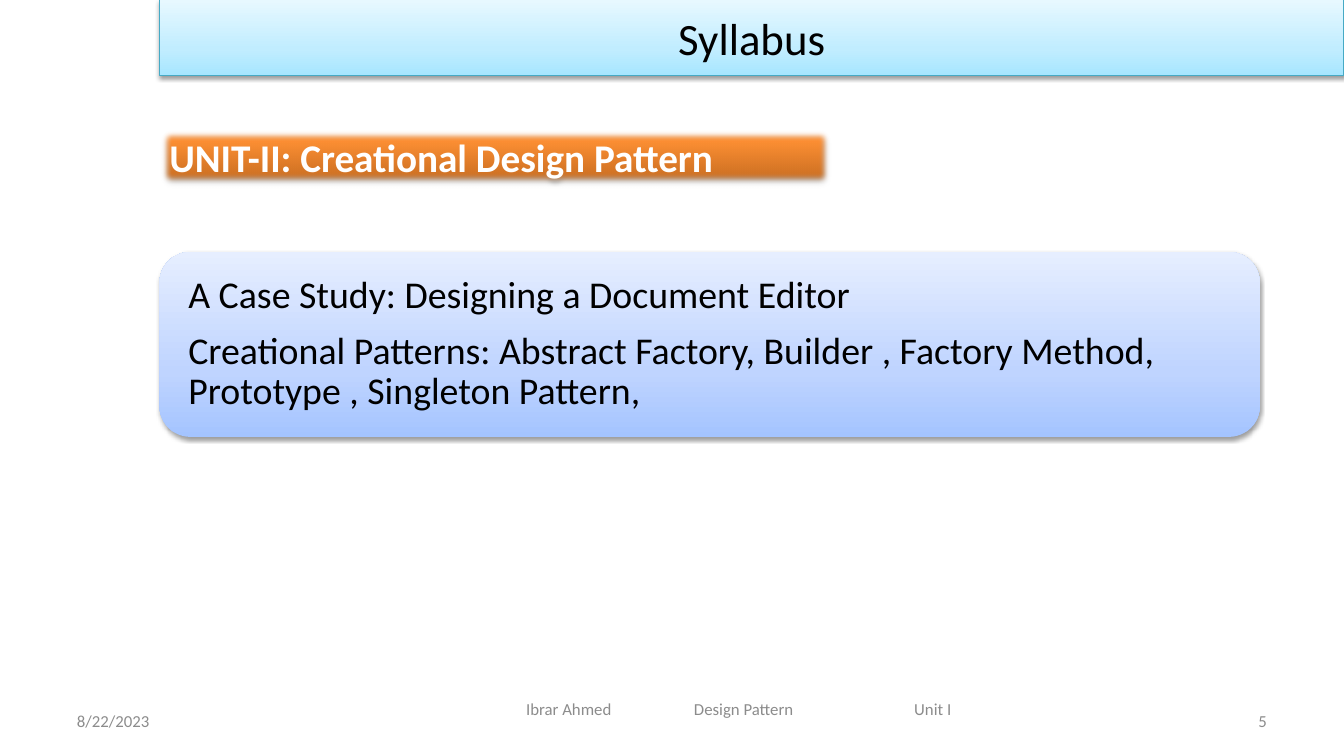
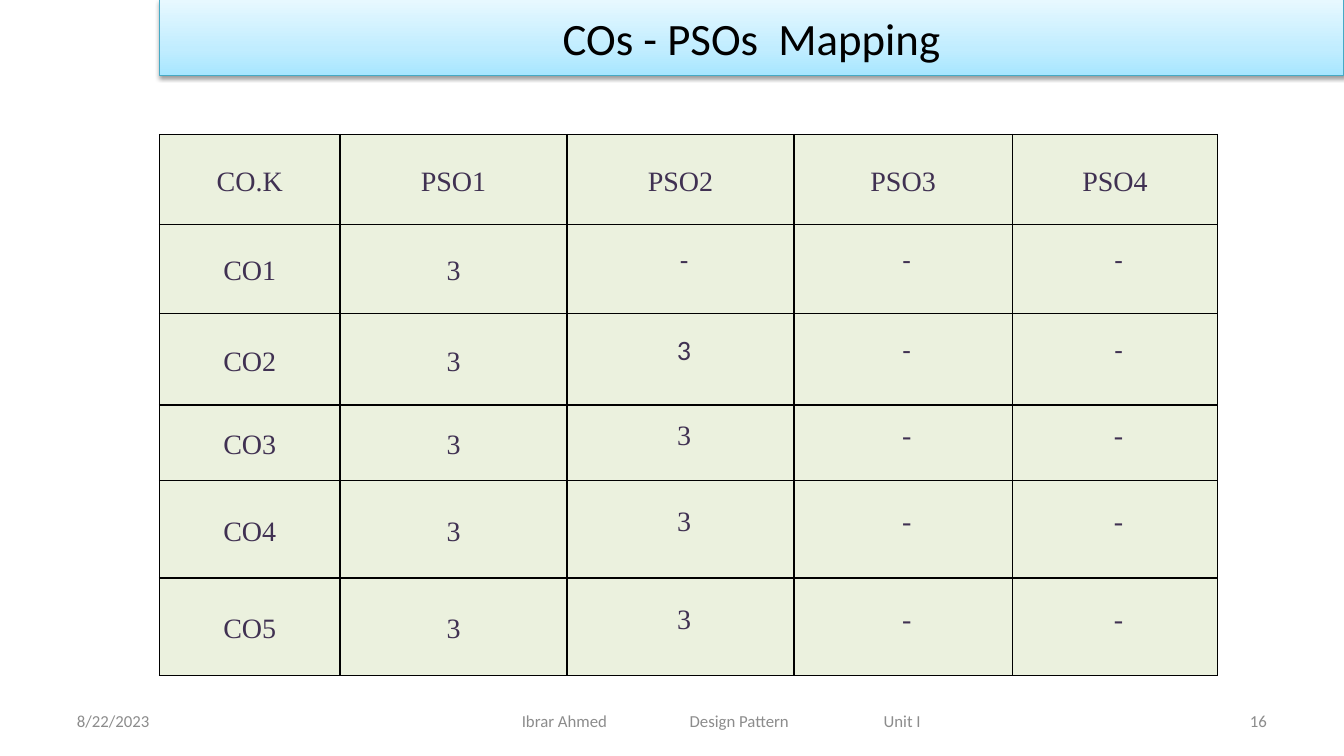
from lxml import etree
from pptx import Presentation
from pptx.dml.color import RGBColor
from pptx.enum.shapes import MSO_SHAPE
from pptx.enum.text import MSO_ANCHOR, PP_ALIGN
from pptx.oxml.ns import qn
from pptx.util import Cm, Pt

RECT, ROUND = MSO_SHAPE.RECTANGLE, MSO_SHAPE.ROUNDED_RECTANGLE
LEFT, MID, RIGHT, JUST = PP_ALIGN.LEFT, PP_ALIGN.CENTER, PP_ALIGN.RIGHT, PP_ALIGN.JUSTIFY
CENTRE = MSO_ANCHOR.MIDDLE

BLACK = RGBColor(0x00, 0x00, 0x00)
WHITE = RGBColor(0xFF, 0xFF, 0xFF)
GREY = RGBColor(0x8C, 0x8C, 0x8C)
TEAL = RGBColor(0x46, 0xAA, 0xC5)
PLUM = RGBColor(0x40, 0x31, 0x52)
SAGE = RGBColor(0xEB, 0xF1, 0xDE)
AQUA = [(0, RGBColor(0xA7, 0xE6, 0xFF)), (35, RGBColor(0xC1, 0xED, 0xFF)),
        (100, RGBColor(0xE7, 0xF8, 0xFF))]
AMBER = [(0, RGBColor(0xC2, 0x69, 0x1F)), (80, RGBColor(0xFF, 0x90, 0x34)),
         (100, RGBColor(0xFF, 0x91, 0x36))]
BLUE = [(0, RGBColor(0xA4, 0xC4, 0xFF)), (35, RGBColor(0xBF, 0xD4, 0xFF)),
        (100, RGBColor(0xE6, 0xEE, 0xFF))]

SANS, SERIF = "Calibri", "Times New Roman"
EDGE = 4.02
FOOT = 17.65
COLS = [4.55, 5.72, 5.72, 5.5, 5.18]
ROWS = [2.26, 2.26, 2.3, 1.9, 2.46, 2.46]
MARKS = [
    ["CO.K", "PSO1", "PSO2", "PSO3", "PSO4"],
    ["CO1", "3", "-", "-", "-"],
    *[[f"CO{n}", "3", "3", "-", "-"] for n in range(2, 6)],
]


def node(up, tag, **attrs):
    return etree.SubElement(up, qn(tag), {k: str(v) for k, v in attrs.items()})


def write(frame, text, size=12, color=BLACK, font=SANS, bold=False, align=LEFT,
          space=None, gap=0, inset=0, tabs=()):
    frame.word_wrap = True
    for i, line in enumerate(text.split("\n")):
        para = frame.add_paragraph() if i else frame.paragraphs[0]
        para.alignment = align
        if inset:
            para._p.get_or_add_pPr().set("marL", str(Cm(inset)))
        if tabs:
            stops = node(para._p.get_or_add_pPr(), "a:tabLst")
            for stop in tabs:
                node(stops, "a:tab", pos=Cm(stop), algn="l")
        if space:
            para.line_spacing = space
        if i and gap:
            para.space_before = Pt(gap)
        run = para.add_run()
        run.text = line
        run.font.size = Pt(size)
        run.font.name = font
        run.font.bold = bold
        run.font.color.rgb = color


def label(slide, text, x, y, w, pad=0.25, **form):
    box = slide.shapes.add_textbox(Cm(x), Cm(y), Cm(w), Cm(1.01))
    box.text_frame.vertical_anchor = CENTRE
    box.text_frame.margin_left = Cm(pad)
    write(box.text_frame, text, color=GREY, **form)


def panel(slide, kind, x, y, w, h, stops, text, line=None, alpha=38, drop=1.6,
          soft=0, pad=0.25, **form):
    shape = slide.shapes.add_shape(kind, Cm(x), Cm(y), Cm(w), Cm(h))
    shape.fill.gradient()
    shape.fill.gradient_angle = 90
    ramp = shape._element.spPr.find(".//" + qn("a:gsLst"))
    for old in list(ramp):
        ramp.remove(old)
    for place, color in stops:
        stop = node(ramp, "a:gs", pos=place * 1000)
        node(stop, "a:srgbClr", val=color)
    if line:
        shape.line.color.rgb = line
        shape.line.width = Pt(0.75)
    else:
        shape.line.fill.background()
    shape.shadow.inherit = False
    glow = shape._element.spPr.find(qn("a:effectLst"))
    shade = node(glow, "a:outerShdw", blurRad=Pt(3.1), dist=Pt(drop),
                 dir=5400000, rotWithShape=0)
    node(node(shade, "a:srgbClr", val=BLACK), "a:alpha", val=alpha * 1000)
    if soft:
        node(glow, "a:softEdge", rad=Pt(soft))
    frame = shape.text_frame
    frame.vertical_anchor = CENTRE
    frame.margin_left = frame.margin_right = Cm(pad)
    write(frame, text, **form)


def frame_cell(cell):
    props = cell._tc.get_or_add_tcPr()
    for i, side in enumerate(("a:lnL", "a:lnR", "a:lnT", "a:lnB")):
        line = etree.Element(qn(side), {"w": str(Pt(1))})
        node(node(line, "a:solidFill"), "a:srgbClr", val=BLACK)
        props.insert(i, line)


def grid(slide, x, y, cols, rows, cells):
    table = slide.shapes.add_table(len(rows), len(cols), Cm(x), Cm(y),
                                   Cm(sum(cols)), Cm(sum(rows))).table
    for col, width in zip(table.columns, cols):
        col.width = Cm(width)
    for row, height in zip(table.rows, rows):
        row.height = Cm(height)
    for r, line in enumerate(cells):
        for c, text in enumerate(line):
            cell = table.cell(r, c)
            cell.fill.solid()
            cell.fill.fore_color.rgb = SAGE
            cell.vertical_anchor = CENTRE
            cell.margin_left = cell.margin_right = Cm(0.18)
            cell.margin_top = cell.margin_bottom = 0
            frame_cell(cell)
            score = r > 0 and c > 1
            write(cell.text_frame, text, size=20, color=PLUM, align=MID,
                  font=SANS if score and r < 3 else SERIF,
                  space=Pt(12.3) if score else 1.15,
                  inset=0.18 if score else 0)


def page(deck, title, number, x, y, w, pad, last):
    slide = deck.slides.add_slide(deck.slide_layouts[6])
    label(slide, "8/22/2023", 1.69, FOOT, 7.91)
    label(slide, "Ibrar Ahmed\tDesign Pattern\tUnit I", x, y, w, pad=pad,
          tabs=(4.23, last))
    label(slide, number, 24.27, FOOT, 7.91, align=RIGHT)
    panel(slide, RECT, EDGE, 0, 29.85, 1.9, AQUA, title, line=TEAL,
          size=32, align=MID)
    return slide


def main():
    deck = Presentation()
    deck.slide_width, deck.slide_height = Cm(33.87), Cm(19.05)

    slide = page(deck, "Syllabus", "5", 12.07, 17.36, 13.12, 1.19, 9.78)
    panel(slide, RECT, EDGE, 3.23, 16.93, 1.45, AMBER,
          "UNIT-II: Creational Design Pattern", alpha=35, drop=1.8, soft=5,
          size=28, color=WHITE, bold=True, align=JUST)
    panel(slide, ROUND, EDGE, 6.35, 27.73, 4.66, BLUE,
          "A Case Study: Designing a Document Editor\n"
          "Creational Patterns: Abstract Factory, Builder , Factory Method, "
          "Prototype , Singleton Pattern,",
          pad=0.5, size=27, space=0.9, gap=10.5)

    slide = page(deck, "COs - PSOs  Mapping", "16", 11.22, FOOT, 13.97, 1.93, 9.12)
    grid(slide, EDGE, 3.39, COLS, ROWS, MARKS)

    deck.save("out.pptx")


if __name__ == "__main__":
    main()
